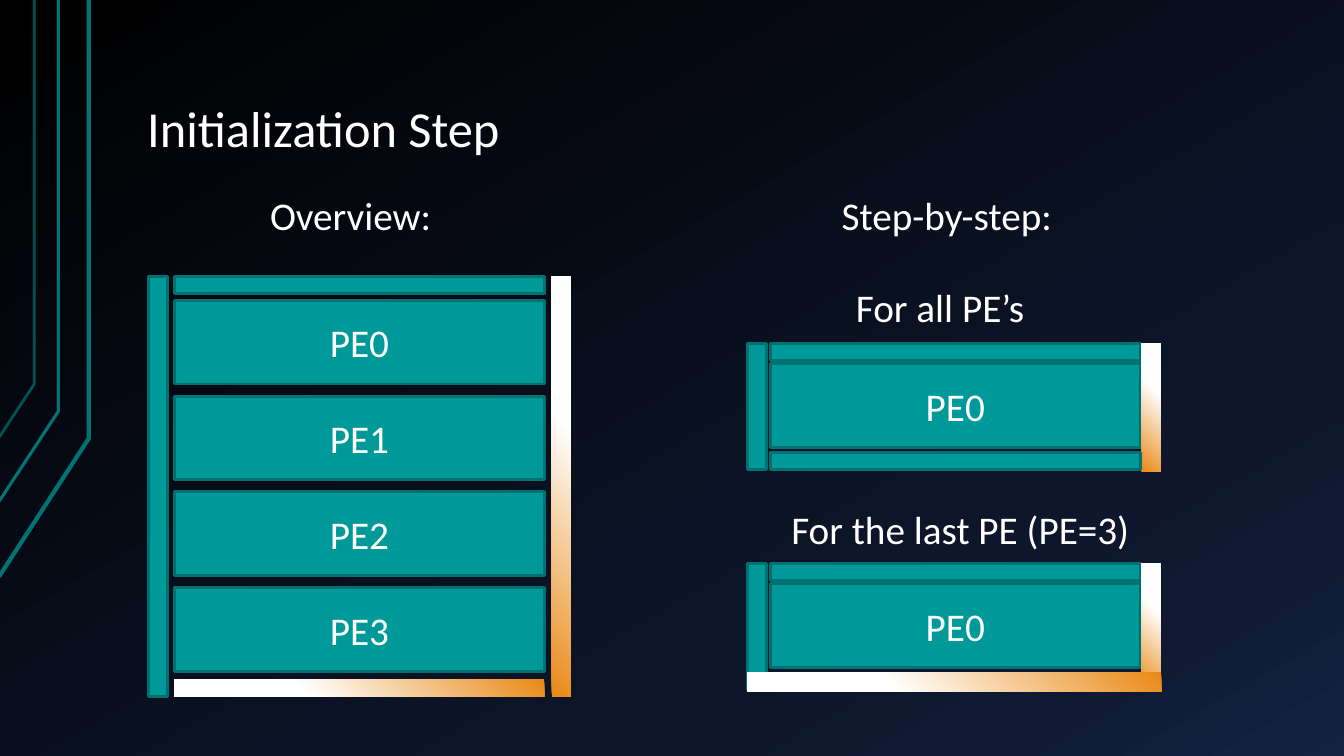
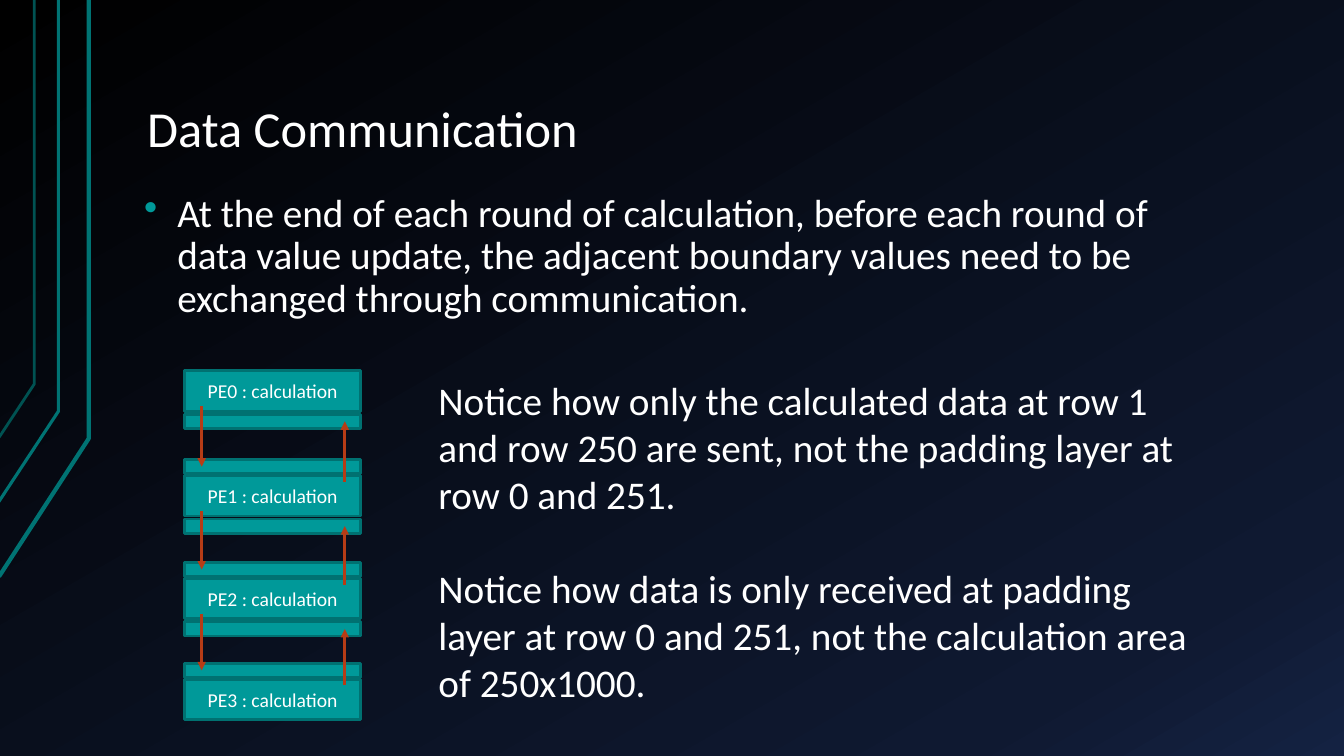
from itertools import pairwise

from lxml.etree import SubElement
from pptx import Presentation
from pptx.dml.color import RGBColor
from pptx.enum.shapes import MSO_CONNECTOR, MSO_SHAPE
from pptx.enum.text import MSO_ANCHOR, MSO_AUTO_SIZE, PP_ALIGN
from pptx.oxml.ns import qn
from pptx.util import Emu, Pt

FONT = "Calibri"
WHITE = "FFFFFF"
TEAL = "009999"
TEAL_EDGE = "007171"
ARROW = "B63C16"
BACKGROUND_STOPS = ((0, "000000"), (85, "0F1931"), (100, "142242"))
BAR_STOPS = ((0, WHITE), (35, WHITE), (100, "E98915"))
TRACES = (
    (((-1, 572), (88, 435), (88, 0)), "007373", 3),
    (((-2, 499), (58, 408), (58, 0)), "007373", 2.25),
    (((-1, 434), (34, 381), (34, 0)), "005252", 2),
)
TITLE_ONLY = 5
BODY_SIZE = 28
EMU_PER_PX = 9144


def px(value):
    return Emu(value * EMU_PER_PX)


def frame(*lengths):
    return [px(length) for length in lengths]


def color(value):
    return RGBColor.from_string(value)


def style_text(paragraph, size):
    for run in paragraph.runs:
        run.font.name = FONT
        run.font.size = Pt(size)
        run.font.color.rgb = color(WHITE)


def style_line(line, value, width):
    line.color.rgb = color(value)
    line.width = Pt(width)


def set_gradient(fill, holder, stops, angle=None, focus=None):
    fill.gradient()
    gradient = holder.find(".//" + qn("a:gradFill"))
    for child in list(gradient):
        gradient.remove(child)
    stop_list = SubElement(gradient, qn("a:gsLst"))
    for position, value in stops:
        stop = SubElement(stop_list, qn("a:gs"), pos=str(position * 1000))
        SubElement(stop, qn("a:srgbClr"), val=value)
    if focus:
        shade = SubElement(gradient, qn("a:path"))
        shade.set("path", "circle")
        sides = {side: str(percent * 1000) for side, percent in zip("ltrb", focus)}
        SubElement(shade, qn("a:fillToRect"), **sides)
    else:
        SubElement(gradient, qn("a:lin"), ang=str(angle * 60000), scaled="0")


def decorate_master(presentation, slide):
    master = presentation.slide_master
    set_gradient(master.background.fill, master.element, BACKGROUND_STOPS, angle=60)
    for position, (points, value, width) in enumerate(TRACES, start=2):
        builder = slide.shapes.build_freeform(*points[0], scale=EMU_PER_PX)
        builder.add_line_segments(points[1:], close=False)
        trace = builder.convert_to_shape()
        trace.shadow.inherit = False
        trace.fill.background()
        style_line(trace.line, value, width)
        master.shapes.element.insert(position, trace.element)


def add_titled_slide(presentation, text):
    slide = presentation.slides.add_slide(presentation.slide_layouts[TITLE_ONLY])
    title = slide.shapes.title
    title.left, title.top, title.width, title.height = frame(133, 30, 1133, 134)
    text_frame = title.text_frame
    text_frame.text = text
    text_frame.auto_size = MSO_AUTO_SIZE.NONE
    text_frame.vertical_anchor = MSO_ANCHOR.BOTTOM
    text_frame.margin_left = text_frame.margin_right = px(13)
    text_frame.margin_top = text_frame.margin_bottom = px(7)
    paragraph = text_frame.paragraphs[0]
    paragraph.alignment = PP_ALIGN.LEFT
    paragraph.line_spacing = 0.9
    style_text(paragraph, 36)
    return slide


def add_block(slide, left, top, width, height, text="", size=BODY_SIZE):
    block = slide.shapes.add_shape(MSO_SHAPE.RECTANGLE, *frame(left, top, width, height))
    block.shadow.inherit = False
    block.fill.solid()
    block.fill.fore_color.rgb = color(TEAL)
    style_line(block.line, TEAL_EDGE, 2)
    if text:
        block.text_frame.text = text
        block.text_frame.vertical_anchor = MSO_ANCHOR.MIDDLE
        paragraph = block.text_frame.paragraphs[0]
        paragraph.alignment = PP_ALIGN.CENTER
        style_text(paragraph, size)


def add_gradient_bar(slide, left, top, width, height):
    upright = height > width
    if upright:
        left += (width - height) // 2
        top += (height - width) // 2
        width, height = height, width
    bar = slide.shapes.add_shape(MSO_SHAPE.RECTANGLE, *frame(left, top, width, height))
    bar.shadow.inherit = False
    bar.rotation = 270 if upright else 0
    focus = (100, 0, 0, 100) if upright else (0, 100, 100, 0)
    set_gradient(bar.fill, bar.element, BAR_STOPS, focus=focus)
    bar.line.fill.background()


def add_text(slide, left, top, width, height, paragraphs, wrap=True, gap=0):
    box = slide.shapes.add_textbox(*frame(left, top, width, height))
    text_frame = box.text_frame
    text_frame.word_wrap = wrap
    text_frame.text = "\n".join(paragraphs)
    for index, paragraph in enumerate(text_frame.paragraphs):
        if index:
            paragraph.space_before = Pt(gap)
        style_text(paragraph, BODY_SIZE)
    return text_frame


def add_bullet(paragraph):
    properties = paragraph._p.get_or_add_pPr()
    properties.set("marL", str(px(33)))
    properties.set("indent", str(px(-33)))
    bullet_color = SubElement(properties, qn("a:buClr"))
    SubElement(bullet_color, qn("a:srgbClr"), val=TEAL)
    SubElement(properties, qn("a:buChar"), char="•")
    paragraph.line_spacing = 0.9


def add_arrow(slide, x, start, end):
    arrow = slide.shapes.add_connector(MSO_CONNECTOR.STRAIGHT, *frame(x, start, x, end))
    style_line(arrow.line, ARROW, 2)
    properties = arrow.element.spPr
    SubElement(properties.find(qn("a:ln")), qn("a:tailEnd"), type="triangle")
    SubElement(properties, qn("a:effectLst"))


def add_padded_block(slide, top, last):
    add_block(slide, 764, top + 20, 367, 83, "PE0")
    add_block(slide, 764, top, 367, 17)
    add_block(slide, 741, top, 19, 125)
    add_gradient_bar(slide, 1132, top, 19, 127)
    if last:
        add_gradient_bar(slide, 741, top + 108, 411, 19)
    else:
        add_block(slide, 764, top + 108, 367, 17)


def fill_initialization(slide):
    add_block(slide, 147, 274, 19, 417)
    add_block(slide, 173, 274, 367, 17)
    for index in range(4):
        add_block(slide, 173, 298 + 95 * index, 367, 83, f"PE{index}")
    add_gradient_bar(slide, 173, 674, 367, 17)
    add_gradient_bar(slide, 547, 274, 19, 417)
    add_padded_block(slide, 341, last=False)
    add_padded_block(slide, 559, last=True)
    for left, top, width, label in (
        (258, 185, 181, "Overview:"),
        (825, 185, 232, "Step-by-step:"),
        (839, 276, 198, "For all PE’s"),
        (775, 496, 359, "For the last PE (PE=3)"),
    ):
        add_text(slide, left, top, width, 57, [label], wrap=False)


def fill_communication(slide):
    body = add_text(slide, 133, 187, 1075, 163, [
        "At the end of each round of calculation, before each round of data value "
        "update, the adjacent boundary values need to be exchanged through communication.",
    ])
    add_bullet(body.paragraphs[0])

    tops = (368, 472, 574, 674)
    for index, top in enumerate(tops):
        add_block(slide, 183, top, 175, 40, f"PE{index} : calculation", 14)
        if top != tops[0]:
            add_block(slide, 183, top - 16, 175, 14)
        if top != tops[-1]:
            add_block(slide, 183, top + 43, 175, 14)
    for top, next_top in pairwise(tops):
        add_arrow(slide, 200, top + 35, next_top - 9)
        add_arrow(slide, 342, next_top + 6, top + 50)

    add_text(slide, 425, 368, 767, 340, [
        "Notice how only the calculated data at row 1 and row 250 are sent, "
        "not the padding layer at row 0 and 251.",
        "Notice how data is only received at padding layer at row 0 and 251, "
        "not the calculation area of 250x1000.",
    ], gap=34)


def main():
    presentation = Presentation()
    presentation.slide_width, presentation.slide_height = frame(1333, 750)
    initialization = add_titled_slide(presentation, "Initialization Step")
    decorate_master(presentation, initialization)
    fill_initialization(initialization)
    fill_communication(add_titled_slide(presentation, "Data Communication"))
    presentation.save("out.pptx")


if __name__ == "__main__":
    main()
